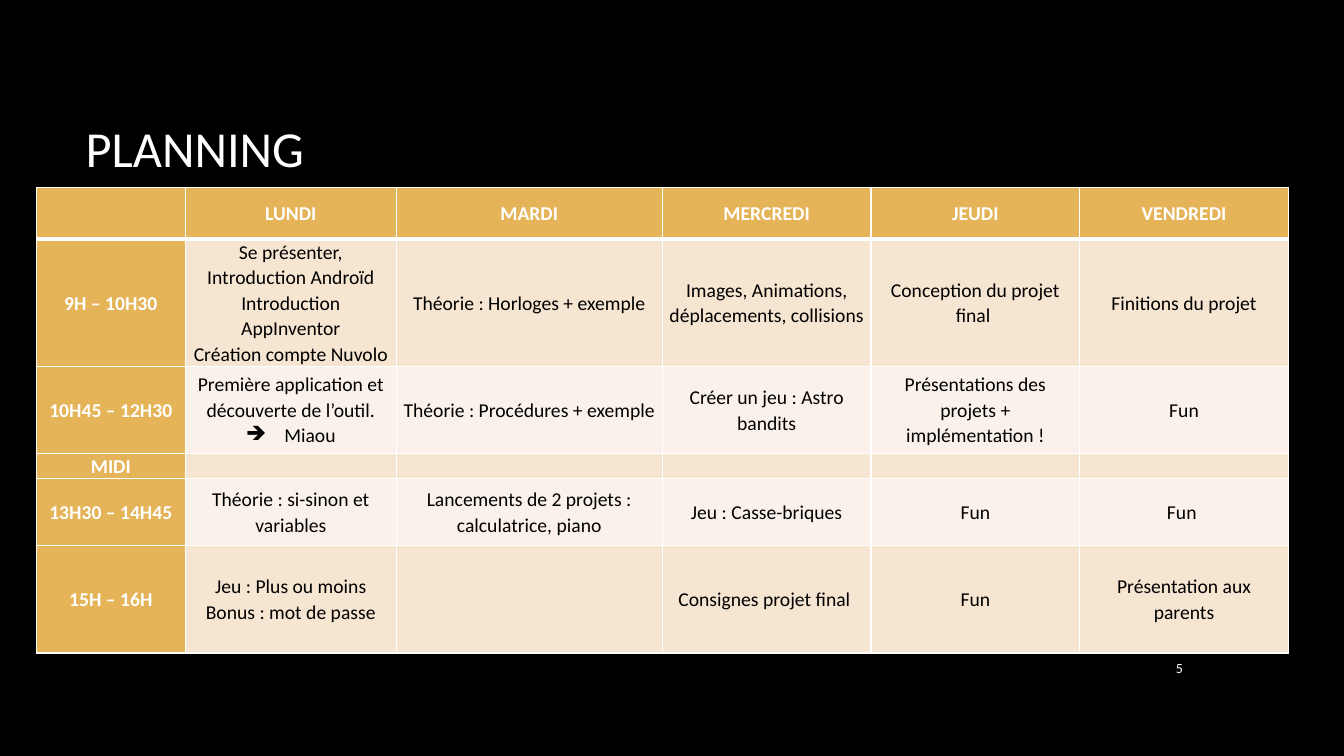
from dataclasses import dataclass

import pptx
import pptx.dml.color
import pptx.enum.text
import pptx.oxml
import pptx.oxml.ns
import pptx.util
from pptx.util import Inches

ANCHOR = pptx.enum.text.MSO_ANCHOR
ALIGN = pptx.enum.text.PP_ALIGN
BULLET = "➔"


@dataclass(frozen=True)
class Theme:
    font: str = "Calibri"
    background: str = "000000"
    light: str = "FFFFFF"
    dark: str = "000000"
    accent: str = "E5B458"
    bands: tuple = ("F5E5D1", "FAF2EA")
    title_size: int = 36
    table_size: int = 14
    number_size: int = 10
    line_spacing: float = 1.07
    border: int = 1
    header_border: int = 3


def drawing_element(xml):
    """Parse one element, declaring the drawing namespace on it."""
    return pptx.oxml.parse_xml(xml.replace(" ", f' {pptx.oxml.ns.nsdecls("a")} ', 1))


class PlanningSlide:
    def __init__(self, presentation, theme):
        self.theme = theme
        self.slide = presentation.slides.add_slide(presentation.slide_layouts[5])
        fill = self.slide.background.fill
        fill.solid()
        fill.fore_color.rgb = self.color(theme.background)

    def color(self, value):
        return pptx.dml.color.RGBColor.from_string(value)

    def add_text(self, paragraph, text, size, color, align, bold=False):
        paragraph.alignment = align
        run = paragraph.add_run()
        run.text = text
        run.font.name = self.theme.font
        run.font.size = pptx.util.Pt(size)
        run.font.bold = bold
        run.font.color.rgb = self.color(color)

    def title(self, text, left, top, width, height):
        title = self.slide.shapes.title
        title.left, title.top = Inches(left), Inches(top)
        title.width, title.height = Inches(width), Inches(height)
        title.text_frame.vertical_anchor = ANCHOR.MIDDLE
        self.add_text(title.text_frame.paragraphs[0], text,
                      self.theme.title_size, self.theme.light, ALIGN.LEFT)

    def page_number(self, text, left, top, width, height):
        number = self.slide.shapes.add_textbox(
            Inches(left), Inches(top), Inches(width), Inches(height))
        number.text_frame.word_wrap = True
        number.text_frame.vertical_anchor = ANCHOR.MIDDLE
        self.add_text(number.text_frame.paragraphs[0], text,
                      self.theme.number_size, self.theme.light, ALIGN.RIGHT)

    def schedule(self, rows, left, top, widths, heights):
        table = self.slide.shapes.add_table(
            len(rows), len(widths), Inches(left), Inches(top),
            Inches(sum(widths)), Inches(sum(heights))).table
        for column, width in zip(table.columns, widths):
            column.width = Inches(width)
        for row, height in zip(table.rows, heights):
            row.height = Inches(height)
        for r, texts in enumerate(rows):
            for c, text in enumerate(texts):
                self.cell(table.cell(r, c), text, r, c)

    def cell(self, cell, text, row, column):
        theme = self.theme
        heading = row == 0 or column == 0
        self.borders(cell, row)
        cell.fill.solid()
        cell.fill.fore_color.rgb = self.color(
            theme.accent if heading else theme.bands[(row - 1) % 2])
        cell.vertical_anchor = ANCHOR.MIDDLE
        cell.margin_left = cell.margin_right = Inches(0.07)
        cell.margin_top = cell.margin_bottom = 0
        frame = cell.text_frame
        for index, line in enumerate(text.split("\n")):
            paragraph = frame.add_paragraph() if index else frame.paragraphs[0]
            paragraph.line_spacing = theme.line_spacing
            if line.startswith(BULLET):
                line = line.removeprefix(BULLET)
                self.bullet(paragraph)
            if line:
                self.add_text(paragraph, line, theme.table_size,
                              theme.light if heading else theme.dark,
                              ALIGN.CENTER, heading)
            else:
                # An empty cell takes its line height from the end mark.
                paragraph._p.append(drawing_element(
                    f'<a:endParaRPr sz="{theme.table_size * 100}"/>'))

    def bullet(self, paragraph):
        properties = paragraph._p.get_or_add_pPr()
        properties.set("marL", str(Inches(0.38)))
        properties.set("indent", str(-Inches(0.38)))
        properties.append(drawing_element(f'<a:buChar char="{BULLET}"/>'))

    def borders(self, cell, row):
        properties = cell._tc.get_or_add_tcPr()
        for side in "LRTB":
            below_header = (row, side) in ((0, "B"), (1, "T"))
            weight = self.theme.header_border if below_header else self.theme.border
            properties.append(drawing_element(
                f'<a:ln{side} w="{pptx.util.Pt(weight)}"><a:solidFill>'
                f'<a:srgbClr val="{self.theme.light}"/></a:solidFill></a:ln{side}>'))


PLANNING = [
    ("", "LUNDI", "MARDI", "MERCREDI", "JEUDI", "VENDREDI"),
    ("9H – 10H30",
     "Se présenter,\nIntroduction Androïd\nIntroduction AppInventor\nCréation compte Nuvolo",
     "Théorie : Horloges + exemple",
     "Images, Animations, déplacements, collisions",
     "Conception du projet final ",
     "Finitions du projet"),
    ("10H45 – 12H30",
     f"Première application et découverte de l’outil.\n{BULLET}Miaou",
     "Théorie : Procédures + exemple",
     "Créer un jeu : Astro bandits",
     "Présentations des projets + implémentation !",
     "Fun"),
    ("MIDI", "", "", "", "", ""),
    ("13H30 – 14H45",
     "Théorie : si-sinon et variables",
     "Lancements de 2 projets : calculatrice, piano",
     "Jeu : Casse-briques",
     "Fun",
     "Fun "),
    ("15H – 16H",
     "Jeu : Plus ou moins\nBonus : mot de passe",
     "",
     "Consignes projet final ",
     "Fun",
     "Présentation aux parents"),
]


def main():
    presentation = pptx.Presentation()
    presentation.slide_width = Inches(13.33)
    presentation.slide_height = Inches(7.5)
    planning = PlanningSlide(presentation, Theme())
    planning.title("PLANNING", 0.75, 0.67, 11.08, 1.59)
    planning.schedule(PLANNING, 0.36, 1.86,
                      widths=[1.48, 2.09, 2.64, 2.07, 2.07, 2.07],
                      heights=[0.51, 1.26, 0.86, 0.25, 0.66, 1.07])
    planning.page_number("5", 11.23, 6.42, 0.6, 0.41)
    presentation.save("out.pptx")


if __name__ == "__main__":
    main()
